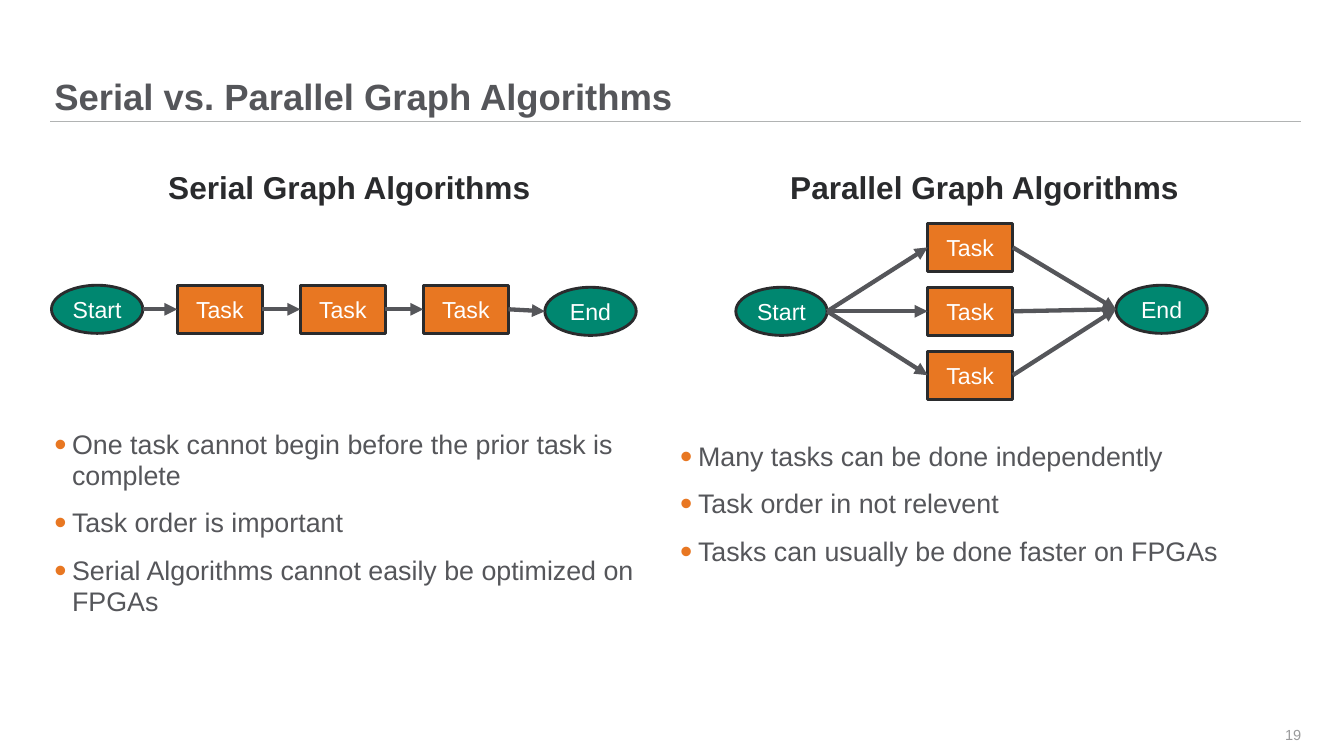
"""Build a slide that compares serial and parallel graph algorithms."""
import pptx
import pptx.dml.color
import pptx.enum.shapes
import pptx.enum.text
import pptx.oxml
import pptx.oxml.ns
import pptx.util

RGBColor = pptx.dml.color.RGBColor
Shape = pptx.enum.shapes.MSO_SHAPE
Align = pptx.enum.text.PP_ALIGN
Anchor = pptx.enum.text.MSO_ANCHOR

GREY = RGBColor(0x55, 0x56, 0x5A)
DARK = RGBColor(0x2A, 0x2B, 0x2D)
RULE_GREY = RGBColor(0xB1, 0xB3, 0xB3)
NUMBER_GREY = RGBColor(0x99, 0x9A, 0x9B)
ORANGE = RGBColor(0xE8, 0x77, 0x22)
GREEN = RGBColor(0x00, 0x87, 0x70)
WHITE = RGBColor(0xFF, 0xFF, 0xFF)

SLIDE_WIDTH = pptx.util.Inches(19.56)
SLIDE_HEIGHT = pptx.util.Inches(11)
COLUMN = SLIDE_WIDTH / 100
ROW = SLIDE_HEIGHT / 100

TITLE = {"size": 38.2, "color": GREY, "bold": True}
HEADING = {"size": 33.1, "color": DARK, "bold": True}
BULLET = {"size": 28.1, "color": GREY, "bold": False}
NODE = {"size": 24.2, "color": WHITE, "bold": False}
NUMBER = {"size": 15.3, "color": NUMBER_GREY, "bold": False}

NO_INSETS = dict.fromkeys(
    ("margin_left", "margin_top", "margin_right", "margin_bottom"), 0)
FRAME = {**NO_INSETS, "word_wrap": True, "auto_size": pptx.enum.text.MSO_AUTO_SIZE.NONE}

TASK_SIZE = (6.34, 6.36)
TERMINAL_SIZE = (6.8, 6.36)
UPPER_ROW, LOWER_ROW = 37.73, 38


def set_values(target, values):
    """Set each named attribute of the target."""
    for name, value in values.items():
        setattr(target, name, value)


def area(left, top, width, height):
    """Turn grid columns and rows into slide lengths."""
    return (round(left * COLUMN), round(top * ROW),
            round(width * COLUMN), round(height * ROW))


def write(para, text, style):
    """Add one styled span of text to a paragraph."""
    span = para.add_run()
    span.text = text
    set_values(span.font, {"name": "Arial", "size": pptx.util.Pt(style["size"]),
                           "bold": style["bold"]})
    span.font.color.rgb = style["color"]


def add_text(page, place, text, style, align, anchor=Anchor.TOP):
    """Add a text box with a single paragraph."""
    box = page.shapes.add_textbox(*area(*place))
    set_values(box.text_frame, {**FRAME, "vertical_anchor": anchor})
    para = box.text_frame.paragraphs[0]
    para.alignment = align
    write(para, text, style)


def fill_title(page, text):
    """Place and format the title placeholder."""
    title = page.shapes.title
    left, top, width, height = area(4.04, 0, 92.79, 15.64)
    set_values(title, {"left": left, "top": top, "width": width, "height": height})
    set_values(title.text_frame, {**FRAME, "vertical_anchor": Anchor.BOTTOM})
    para = title.text_frame.paragraphs[0]
    set_values(para, {"alignment": Align.LEFT, "line_spacing": 0.9})
    write(para, text, TITLE)


def add_bullet(para):
    """Give a paragraph a hanging orange bullet."""
    properties = para._p.get_or_add_pPr()
    indent = pptx.util.Inches(0.26)
    properties.set("marL", str(indent))
    properties.set("indent", str(-indent))
    namespace = pptx.oxml.ns.nsdecls("a")
    for markup in (f'<a:buClr {namespace}><a:srgbClr val="{ORANGE}"/></a:buClr>',
                   f'<a:buSzPct {namespace} val="130000"/>',
                   f'<a:buFont {namespace} typeface="Arial"/>',
                   f'<a:buChar {namespace} char="•"/>'):
        properties.append(pptx.oxml.parse_xml(markup))


def add_bullets(page, place, lines):
    """Add a text box with a bulleted list."""
    box = page.shapes.add_textbox(*area(*place))
    set_values(box.text_frame, FRAME)
    for index, line in enumerate(lines):
        para = box.text_frame.add_paragraph() if index else box.text_frame.paragraphs[0]
        add_bullet(para)
        set_values(para, {"line_spacing": 0.95, "space_after": pptx.util.Pt(7.7),
                          "space_before": pptx.util.Pt(10.2 if index else 0)})
        write(para, line, BULLET)


def add_node(page, kind, left, top, size, color, text):
    """Add an outlined, labelled shape of the graph."""
    node = page.shapes.add_shape(kind, *area(left, top, *size))
    node.shadow.inherit = False
    node.fill.solid()
    node.fill.fore_color.rgb = color
    node.line.color.rgb = DARK
    node.line.width = pptx.util.Pt(3)
    node.text_frame.vertical_anchor = Anchor.MIDDLE
    para = node.text_frame.paragraphs[0]
    para.alignment = Align.CENTER
    write(para, text, NODE)
    return node


def add_task(page, left, top):
    """Add a task rectangle."""
    return add_node(page, Shape.RECTANGLE, left, top, TASK_SIZE, ORANGE, "Task")


def add_terminal(page, left, top, text):
    """Add a start or end ellipse."""
    return add_node(page, Shape.OVAL, left, top, TERMINAL_SIZE, GREEN, text)


def add_line(page, start, end, color, width):
    """Add a straight line without a shadow."""
    line = page.shapes.add_connector(
        pptx.enum.shapes.MSO_CONNECTOR.STRAIGHT, *start, *end)
    line.line.color.rgb = color
    line.line.width = pptx.util.Pt(width)
    line._element.spPr.append(
        pptx.oxml.parse_xml(f'<a:effectLst {pptx.oxml.ns.nsdecls("a")}/>'))
    return line


def add_arrow(page, source, target):
    """Point an arrow from one node's right side to another's left side."""
    start = (source.left + source.width, source.top + source.height // 2)
    end = (target.left, target.top + target.height // 2)
    arrow = add_line(page, start, end, GREY, 4.5)
    arrow.line._get_or_add_ln().append(pptx.oxml.parse_xml(
        f'<a:tailEnd {pptx.oxml.ns.nsdecls("a")} type="triangle"/>'))


def add_serial_graph(page):
    """Draw the tasks one after another."""
    nodes = [add_terminal(page, 3.83, UPPER_ROW, "Start")]
    nodes += [add_task(page, 13.19 + 9.15 * step, UPPER_ROW) for step in range(3)]
    nodes.append(add_terminal(page, 40.54, LOWER_ROW, "End"))
    for source, target in zip(nodes, nodes[1:]):
        add_arrow(page, source, target)


def add_parallel_graph(page):
    """Draw the tasks side by side between start and end."""
    start = add_terminal(page, 54.75, LOWER_ROW, "Start")
    end = add_terminal(page, 83.03, UPPER_ROW, "End")
    for step in range(-1, 2):
        task = add_task(page, 69.02, LOWER_ROW + 8.45 * step)
        add_arrow(page, start, task)
        add_arrow(page, task, end)


def main():
    """Build and save the slide."""
    deck = pptx.Presentation()
    set_values(deck, {"slide_width": SLIDE_WIDTH, "slide_height": SLIDE_HEIGHT})
    page = deck.slides.add_slide(deck.slide_layouts[5])
    rule_left, rule_top, rule_width, _ = area(3.73, 16.09, 93.1, 0)
    add_line(page, (rule_left, rule_top), (rule_left + rule_width, rule_top), RULE_GREY, 1)
    fill_title(page, "Serial vs. Parallel Graph Algorithms")
    add_text(page, (11.25, 22.18, 29.5, 7.18), "Serial Graph Algorithms",
             HEADING, Align.CENTER)
    add_text(page, (50.15, 22.18, 46.22, 7.18), "Parallel Graph Algorithms",
             HEADING, Align.CENTER)
    add_serial_graph(page)
    add_parallel_graph(page)
    add_bullets(page, (4.04, 56.91, 45.3, 29.27), (
        "One task cannot begin before the prior task is complete",
        "Task order is important",
        "Serial Algorithms cannot easily be optimized on FPGAs"))
    add_bullets(page, (50.61, 58.45, 46.42, 27.73), (
        "Many tasks can be done independently",
        "Task order in not relevent",
        "Tasks can usually be done faster on FPGAs"))
    add_text(page, (92.38, 94.55, 4.45, 5.36), "19", NUMBER, Align.RIGHT, Anchor.MIDDLE)
    deck.save("out.pptx")


if __name__ == "__main__":
    main()
